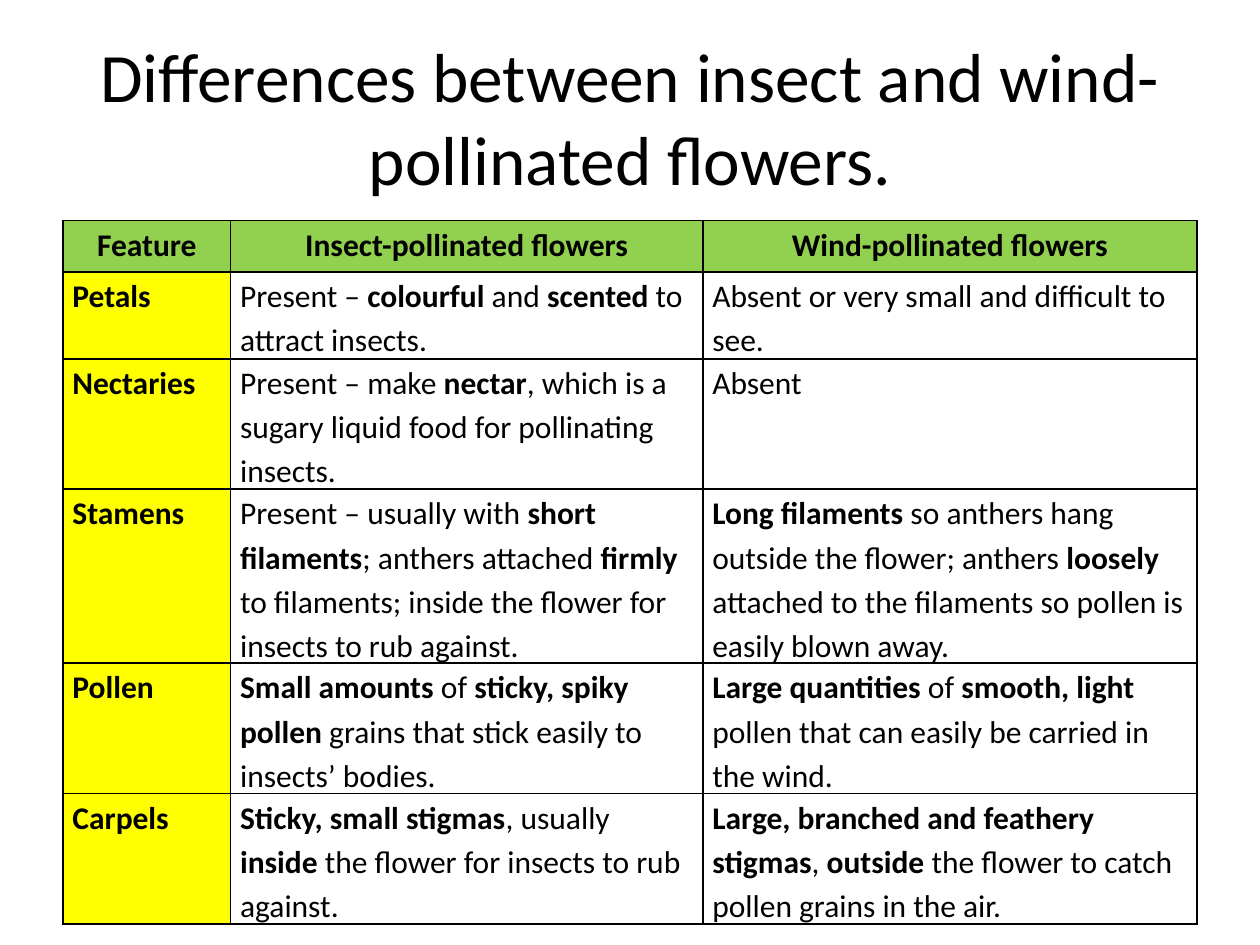
from lxml.etree import SubElement
from pptx import Presentation
from pptx.dml.color import RGBColor
from pptx.enum.text import MSO_ANCHOR, PP_ALIGN
from pptx.oxml.ns import qn
from pptx.util import Cm, Pt

FONT = "Calibri"
BLACK, GREEN, YELLOW = "000000", "92D050", "FFFF00"

# Bold passages stand between ** marks
ROWS = [
    ["**Feature**", "**Insect-pollinated flowers**", "**Wind-pollinated flowers**"],
    ["**Petals**",
     "Present – **colourful** and **scented** to attract insects.",
     "Absent or very small and difficult to see."],
    ["**Nectaries**",
     "Present – make **nectar**, which is a sugary liquid food for pollinating insects.",
     "Absent"],
    ["**Stamens**",
     "Present – usually with **short filaments**; anthers attached **firmly** "
     "to filaments; inside the flower for insects to rub against.",
     "**Long filaments** so anthers hang outside the flower; anthers **loosely** "
     "attached to the filaments so pollen is easily blown away."],
    ["**Pollen**",
     "**Small amounts** of **sticky, spiky pollen** grains that stick easily to insects’ bodies.",
     "**Large quantities** of **smooth, light** pollen that can easily be carried in the wind."],
    ["**Carpels**",
     "**Sticky, small stigmas**, usually **inside** the flower for insects to rub against.",
     "**Large, branched and feathery stigmas**, **outside** the flower to catch "
     "pollen grains in the air."],
]
COLUMN_WIDTHS = [3.38, 9.52, 9.96]
ROW_HEIGHT = 1.03


def rgb(color):
    return RGBColor.from_string(color)


def add_runs(paragraph, marked_text, size):
    for i, part in enumerate(marked_text.split("**")):
        if part:
            run = paragraph.add_run()
            run.text = part
            run.font.name = FONT
            run.font.size = Pt(size)
            run.font.bold = i % 2 == 1
            run.font.color.rgb = rgb(BLACK)


prs = Presentation()
prs.slide_width, prs.slide_height = Cm(25.4), Cm(19.05)
slide = prs.slides.add_slide(prs.slide_layouts[6])

# Title
title = slide.shapes.add_textbox(Cm(1.27), Cm(0.76), Cm(22.86), Cm(3.18)).text_frame
title.word_wrap = True
title.vertical_anchor = MSO_ANCHOR.MIDDLE
title.paragraphs[0].alignment = PP_ALIGN.CENTER
add_runs(title.paragraphs[0], "Differences between insect and wind-pollinated flowers.", 39.6)

# Comparison table
comparison = slide.shapes.add_table(
    len(ROWS), len(COLUMN_WIDTHS), Cm(1.27), Cm(4.45),
    Cm(sum(COLUMN_WIDTHS)), Cm(ROW_HEIGHT * len(ROWS))).table
comparison.horz_banding = False
for column, width in zip(comparison.columns, COLUMN_WIDTHS):
    column.width = Cm(width)

for r, row in enumerate(ROWS):
    comparison.rows[r].height = Cm(ROW_HEIGHT)
    for c, marked_text in enumerate(row):
        cell = comparison.cell(r, c)
        cell.margin_left = cell.margin_right = Cm(0.19)
        cell.margin_top = cell.margin_bottom = 0
        paragraph = cell.text_frame.paragraphs[0]
        paragraph.line_spacing = 1.15
        paragraph.alignment = PP_ALIGN.CENTER if r == 0 else PP_ALIGN.LEFT
        add_runs(paragraph, marked_text, 18)

        # Borders go before the fill in the cell properties
        properties = cell._tc.get_or_add_tcPr()
        for side in ("a:lnL", "a:lnR", "a:lnT", "a:lnB"):
            border = SubElement(properties, qn(side), w=str(Pt(1)))
            border_fill = SubElement(border, qn("a:solidFill"))
            SubElement(border_fill, qn("a:srgbClr"), val=BLACK)

        # Green header, yellow feature names, clear body
        if r == 0 or c == 0:
            cell.fill.solid()
            cell.fill.fore_color.rgb = rgb(GREEN if r == 0 else YELLOW)
        else:
            cell.fill.background()

prs.save("out.pptx")
